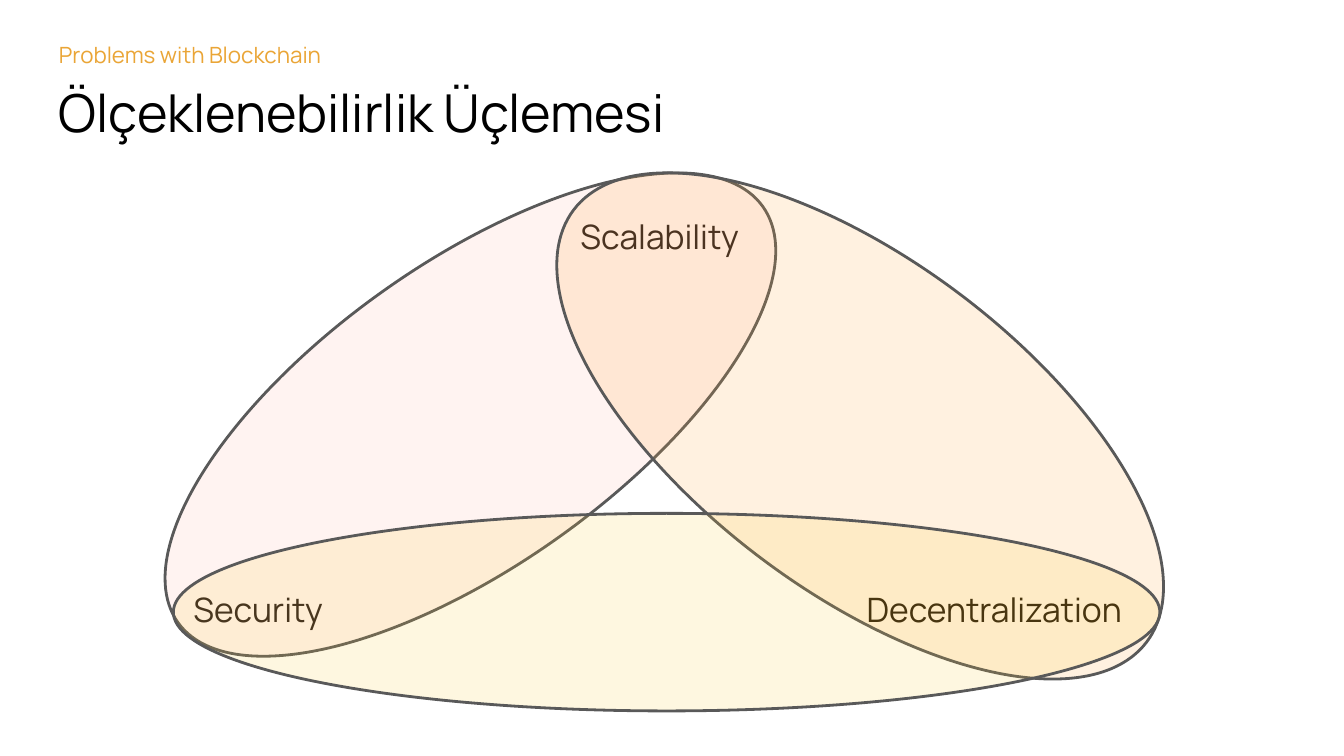
import pptx
import pptx.dml.color
import pptx.enum.shapes
import pptx.oxml.ns
import pptx.util
from lxml import etree

Inches = pptx.util.Inches
RGBColor = pptx.dml.color.RGBColor

ORANGE = RGBColor(0xEA, 0xA5, 0x36)
BLACK = RGBColor(0x00, 0x00, 0x00)
GRAY = RGBColor(0x59, 0x59, 0x59)
PINK = RGBColor(0xFF, 0xB5, 0xAA)
AMBER = RGBColor(0xFF, 0xAB, 0x40)
YELLOW = RGBColor(0xFE, 0xCB, 0x33)

FONT = "Manrope"
INSET = Inches(0.1)


def add_text(page, left, top, width, height, text, size, color, line_spacing=1.0):
    box = page.shapes.add_textbox(Inches(left), Inches(top), Inches(width), Inches(height))
    frame = box.text_frame
    frame_format = {
        "word_wrap": True,
        "margin_left": INSET,
        "margin_top": INSET,
        "margin_right": INSET,
        "margin_bottom": INSET,
    }
    for name, value in frame_format.items():
        setattr(frame, name, value)
    para = frame.paragraphs[0]
    para.line_spacing = line_spacing
    span = para.add_run()
    span.text = text
    for name, value in {"name": FONT, "size": pptx.util.Pt(size)}.items():
        setattr(span.font, name, value)
    span.font.color.rgb = color


def add_ellipse(page, left, top, width, height, rotation, color, opacity):
    ellipse = page.shapes.add_shape(
        pptx.enum.shapes.MSO_SHAPE.OVAL,
        Inches(left), Inches(top), Inches(width), Inches(height))
    ellipse.rotation = rotation
    ellipse.shadow.inherit = False
    ellipse.fill.solid()
    ellipse.fill.fore_color.rgb = color
    ellipse.line.color.rgb = GRAY
    ellipse.line.width = pptx.util.Pt(1.5)
    # Opacity in percent, stored in thousandths
    tint = ellipse.element.spPr.find("./" + pptx.oxml.ns.qn("a:solidFill"))[0]
    etree.SubElement(tint, pptx.oxml.ns.qn("a:alpha"), val=str(opacity * 1000))


def add_heading(page, left, top, width):
    add_text(page, left, top, width, 0.43, "Problems with Blockchain", 12, ORANGE)
    add_text(page, left, top + 0.29, width, 0.63, "Ölçeklenebilirlik Üçlemesi", 28, BLACK)


def add_trilemma(page, left, top):
    # Corner labels, behind the translucent ellipses
    labels = [
        ("Security", 0.05, 2.78, 1.25),
        ("Decentralization", 5.06, 2.78, 2.28),
        ("Scalability", 2.93, 0, 1.57),
    ]
    for text, x, y, width in labels:
        add_text(page, left + x, top + y, width, 0.43, text, 18, BLACK, 1.15)

    # Each ellipse joins two corners
    ellipses = [
        (-0.46, 0.5, 5.34, 2.25, 324.6, PINK, 16),
        (2.44, 0.48, 5.34, 2.46, 37, AMBER, 16),
        (0, 2.36, 7.34, 1.47, 0, YELLOW, 15),
    ]
    for x, y, *style in ellipses:
        add_ellipse(page, left + x, top + y, *style)


def main():
    deck = pptx.Presentation()
    # Widescreen page, 16:9
    deck.slide_width = Inches(10)
    deck.slide_height = deck.slide_width * 9 // 16
    page = deck.slides.add_slide(deck.slide_layouts[6])
    add_heading(page, 0.34, 0.21, 9.29)
    add_trilemma(page, 1.29, 1.46)
    deck.save("out.pptx")


if __name__ == "__main__":
    main()
